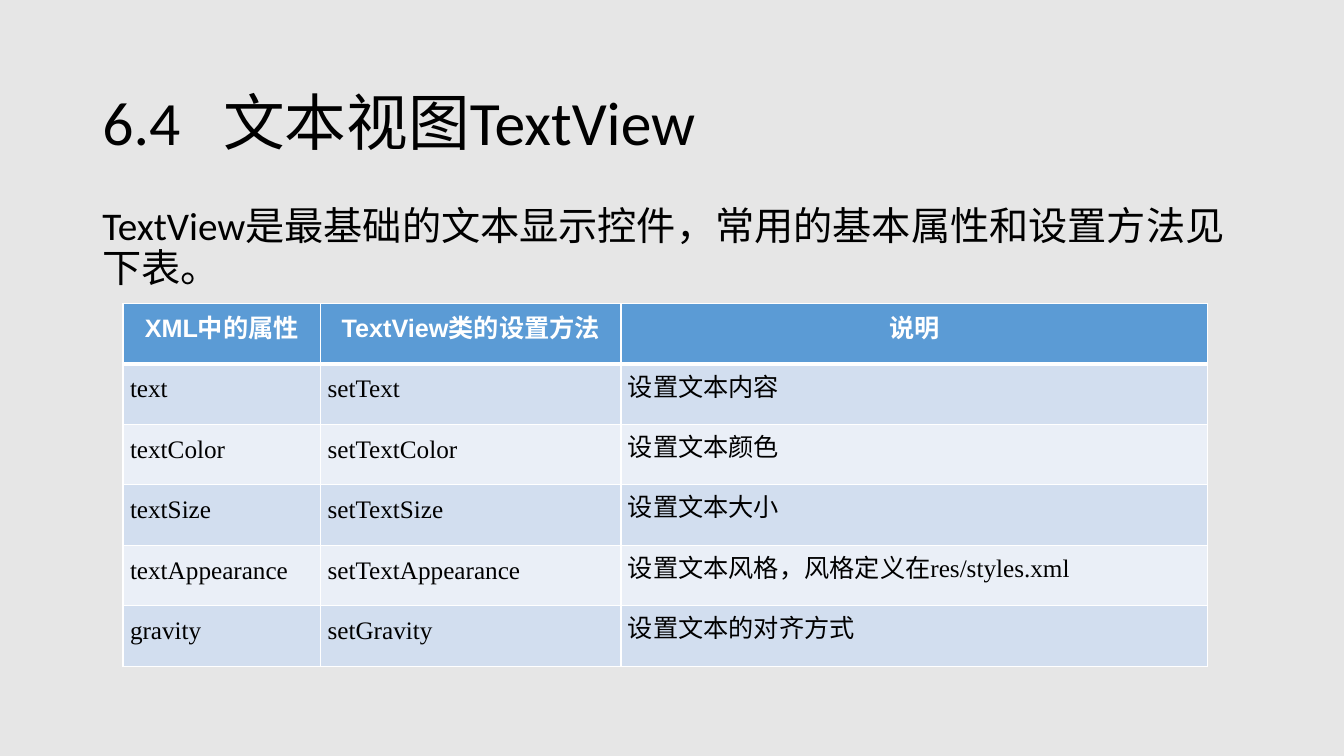
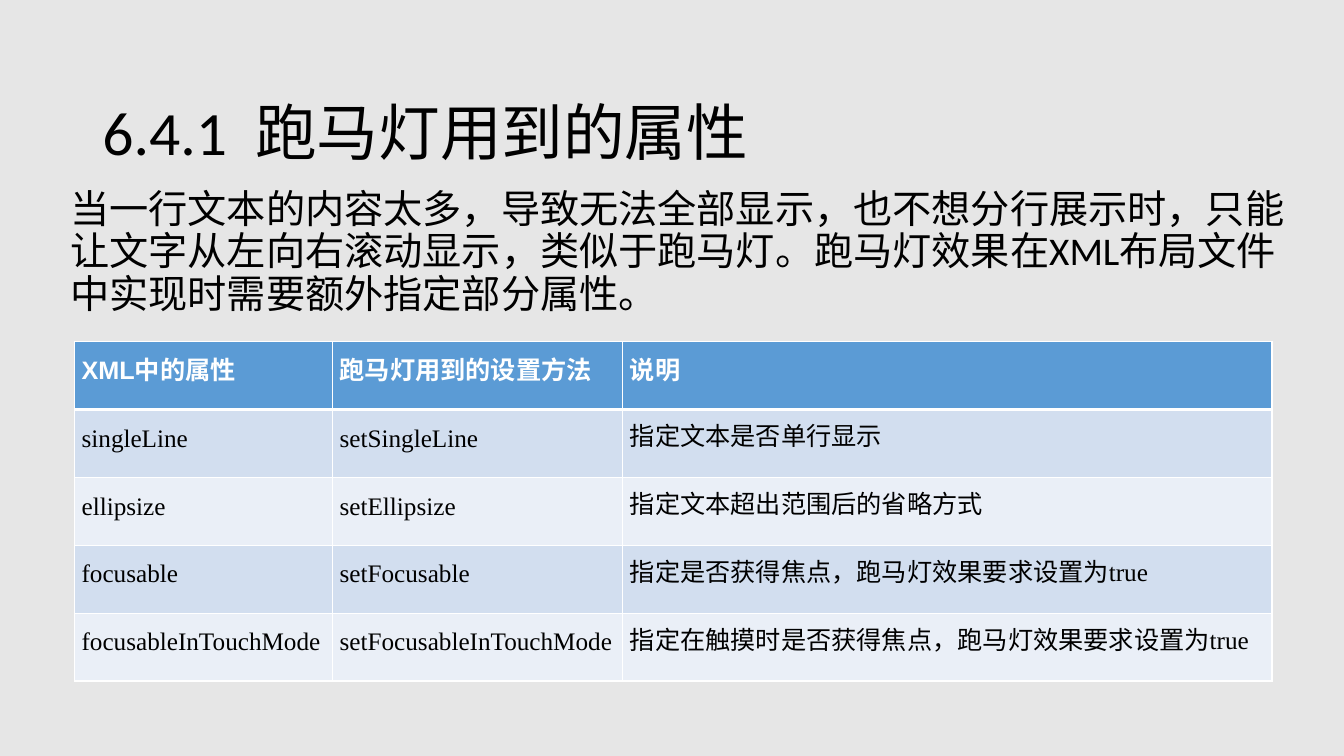
from lxml.etree import SubElement
from pptx import Presentation
from pptx.dml.color import RGBColor
from pptx.enum.text import MSO_ANCHOR, PP_ALIGN
from pptx.oxml.ns import qn
from pptx.util import Inches, Pt

COLORS = {
    "background": "E6E6E6",
    "text": "000000",
    "header": "5B9BD5",
    "header_text": "FFFFFF",
    "border": "FFFFFF",
    "odd_row": "D2DEEF",
    "even_row": "EAEFF7",
}
COLUMNS, ROWS = 160, 90
SLIDE_WIDTH, SLIDE_HEIGHT = Inches(13.33), Inches(7.5)


class Lesson:
    title_font = "Calibri"
    header_font = "Arial"
    cell_font = "Times New Roman"

    def __init__(self):
        self.deck = Presentation()
        self.deck.slide_width = SLIDE_WIDTH
        self.deck.slide_height = SLIDE_HEIGHT
        self.slide = None

    def x(self, columns):
        return round(SLIDE_WIDTH * columns / COLUMNS)

    def y(self, rows):
        return round(SLIDE_HEIGHT * rows / ROWS)

    def color(self, name):
        return RGBColor.from_string(COLORS[name])

    def page(self):
        self.slide = self.deck.slides.add_slide(self.deck.slide_layouts[6])
        fill = self.slide.background.fill
        fill.solid()
        fill.fore_color.rgb = self.color("background")

    def span(self, para, text, size, font, color="text", bold=False):
        span = para.add_run()
        span.text = text
        span.font.size = Pt(size)
        span.font.name = font
        span.font.bold = bold
        span.font.color.rgb = self.color(color)

    def box(self, left, top, width, height, anchor):
        box = self.slide.shapes.add_textbox(
            self.x(left), self.y(top), self.x(width), self.y(height))
        frame = box.text_frame
        frame.word_wrap = True
        frame.vertical_anchor = anchor
        para = frame.paragraphs[0]
        para.line_spacing = 0.9
        return para

    def title(self, top, number, name, tab):
        para = self.box(11, top, 138, 17.4, MSO_ANCHOR.MIDDLE)
        stops = SubElement(para._p.get_or_add_pPr(), qn("a:tabLst"))
        SubElement(stops, qn("a:tab"), pos=str(self.x(tab)), algn="l")
        self.span(para, f"{number}\t{name}", 44, self.title_font)

    def body(self, left, top, width, height, text):
        para = self.box(left, top, width, height, MSO_ANCHOR.TOP)
        self.span(para, text, 28, self.title_font)

    def borders(self, cell, row):
        widths = {"L": 1, "R": 1, "T": 3 if row == 1 else 1, "B": 3 if row == 0 else 1}
        properties = cell._tc.get_or_add_tcPr()
        for side, width in widths.items():
            line = SubElement(properties, qn(f"a:ln{side}"), w=str(Pt(width)))
            solid = SubElement(line, qn("a:solidFill"))
            SubElement(solid, qn("a:srgbClr"), val=COLORS["border"])

    def cell(self, cell, row, text, header_align):
        self.borders(cell, row)
        cell.margin_left = cell.margin_right = Inches(0.07)
        cell.margin_top = cell.margin_bottom = 0
        cell.vertical_anchor = MSO_ANCHOR.MIDDLE
        cell.fill.solid()
        para = cell.text_frame.paragraphs[0]
        if row == 0:
            fill = "header"
            para.alignment = header_align
            para.line_spacing = Pt(15.6)
            self.span(para, text, 18, self.header_font, "header_text", True)
        else:
            fill = "odd_row" if row % 2 else "even_row"
            para.line_spacing = Pt(13)
            self.span(para, text, 18, self.cell_font)
        cell.fill.fore_color.rgb = self.color(fill)

    def table(self, left, top, widths, row_height, header_align, content):
        table = self.slide.shapes.add_table(
            len(content), len(widths), self.x(left), self.y(top),
            self.x(sum(widths)), self.y(row_height * len(content))).table
        for column, width in zip(table.columns, widths):
            column.width = self.x(width)
        for row, texts in enumerate(content):
            table.rows[row].height = self.y(row_height)
            for column, text in enumerate(texts):
                self.cell(table.cell(row, column), row, text, header_align)


def text_view(lesson):
    lesson.page()
    lesson.title(6.24, "6.4", "文本视图TextView", 14.4)
    lesson.body(11, 24, 138, 57.12,
                "TextView是最基础的文本显示控件，常用的基本属性和设置方法见下表。")
    lesson.table(14.64, 36.12, (23.52, 35.76, 69.84), 7.2, PP_ALIGN.CENTER, [
        ("XML中的属性", "TextView类的设置方法", "说明"),
        ("text", "setText", "设置文本内容"),
        ("textColor", "setTextColor", "设置文本颜色"),
        ("textSize", "setTextSize", "设置文本大小"),
        ("textAppearance", "setTextAppearance", "设置文本风格，风格定义在res/styles.xml"),
        ("gravity", "setGravity", "设置文本的对齐方式"),
    ])


def marquee(lesson):
    lesson.page()
    lesson.title(7.44, "6.4.1", "跑马灯用到的属性", 18.2)
    lesson.body(7.2, 22, 148.44, 17,
                "当一行文本的内容太多，导致无法全部显示，也不想分行展示时，"
                "只能让文字从左向右滚动显示，类似于跑马灯。"
                "跑马灯效果在XML布局文件中实现时需要额外指定部分属性。")
    lesson.table(8.88, 40.68, (30.72, 34.56, 77.28), 8.08, PP_ALIGN.JUSTIFY, [
        ("XML中的属性", "跑马灯用到的设置方法", "说明"),
        ("singleLine", "setSingleLine", "指定文本是否单行显示"),
        ("ellipsize", "setEllipsize", "指定文本超出范围后的省略方式"),
        ("focusable", "setFocusable", "指定是否获得焦点，跑马灯效果要求设置为true"),
        ("focusableInTouchMode", "setFocusableInTouchMode",
         "指定在触摸时是否获得焦点，跑马灯效果要求设置为true"),
    ])


def main():
    lesson = Lesson()
    text_view(lesson)
    marquee(lesson)
    lesson.deck.save("out.pptx")


if __name__ == "__main__":
    main()
